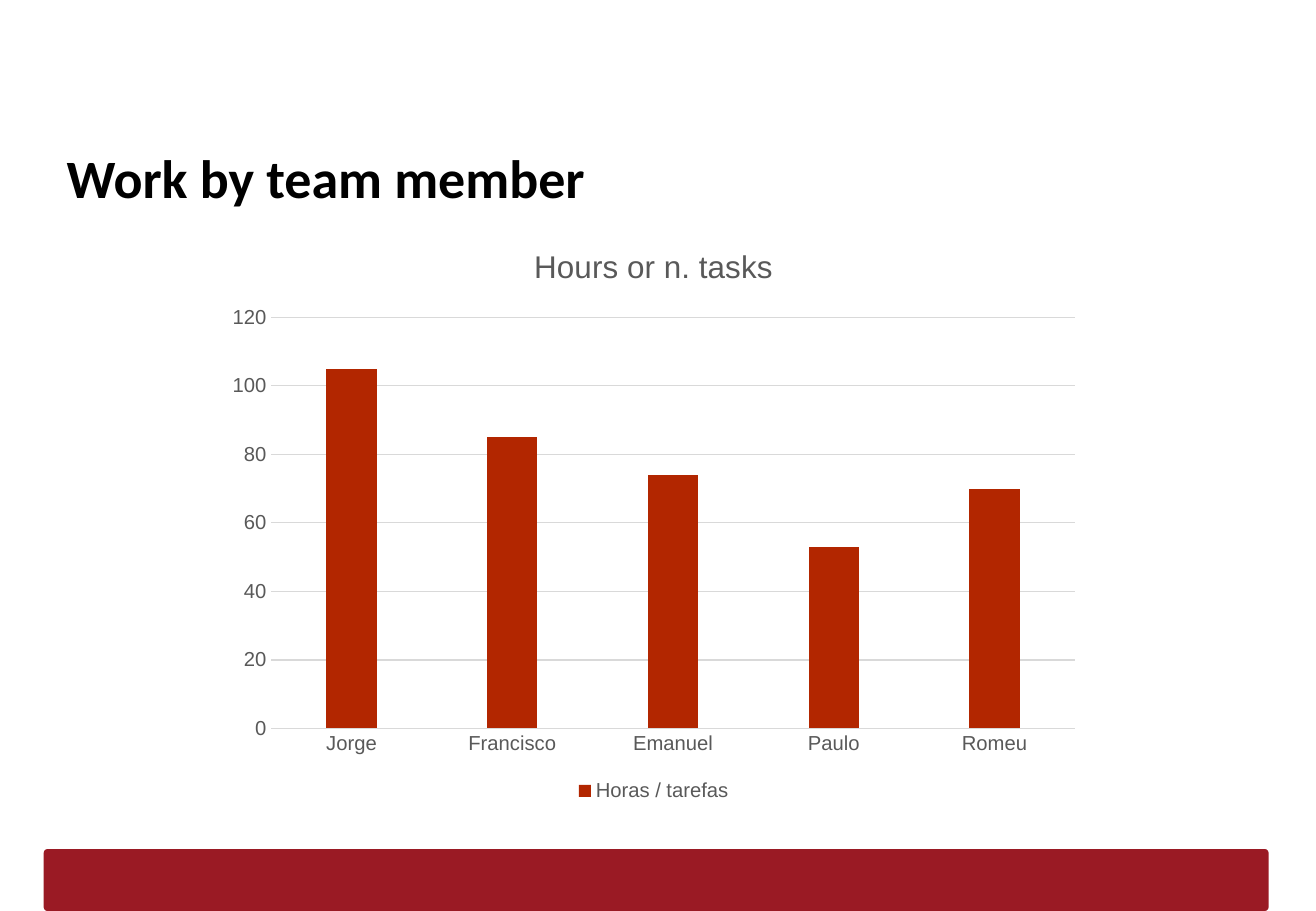
from dataclasses import dataclass

from pptx import Presentation
from pptx.chart.data import CategoryChartData
from pptx.dml.color import RGBColor
from pptx.enum.chart import XL_CHART_TYPE as ChartType, XL_LEGEND_POSITION as LegendPosition
from pptx.enum.chart import XL_TICK_MARK as TickMark
from pptx.enum.shapes import MSO_SHAPE as ShapeType
from pptx.enum.text import MSO_ANCHOR as Anchor
from pptx.util import Inches, Pt


@dataclass(frozen=True)
class Theme:
    """Colours, fonts and type sizes of the slide."""
    band: str = "9A1A24"
    title: str = "000000"
    column: str = "B22600"
    label: str = "595959"
    grid: str = "D9D9D9"
    title_font: str = "Calibri"
    chart_font: str = "Arial"
    title_size: float = 32
    chart_title_size: float = 18.6
    label_size: float = 12
    grid_width: float = 0.75


THEME = Theme()
HOURS = {"Jorge": 105, "Francisco": 85, "Emanuel": 74, "Paulo": 53, "Romeu": 70}


def style_font(font, name=THEME.chart_font, size=THEME.label_size, color=THEME.label, bold=False):
    """Apply a typeface, size, colour and weight to a font."""
    font.name = name
    font.size = Pt(size)
    font.bold = bold
    font.color.rgb = RGBColor.from_string(color)


def write_text(text_frame, text, **font_format):
    """Write one formatted run into a text frame."""
    run = text_frame.paragraphs[0].add_run()
    run.text = text
    style_font(run.font, **font_format)


def style_line(line):
    """Give a chart line the thin grid look."""
    line.color.rgb = RGBColor.from_string(THEME.grid)
    line.width = Pt(THEME.grid_width)


def add_footer_band(slide, left, top, width, height):
    """Draw the rounded band at the foot of the slide."""
    band = slide.shapes.add_shape(
        ShapeType.ROUNDED_RECTANGLE, Inches(left), Inches(top), Inches(width), Inches(height))
    band.adjustments[0] = 0.06
    band.shadow.inherit = False
    band.fill.solid()
    band.fill.fore_color.rgb = RGBColor.from_string(THEME.band)
    band.line.fill.background()


def add_title(slide, text, left, top, width, height):
    """Place the slide title in its box."""
    box = slide.shapes.add_textbox(Inches(left), Inches(top), Inches(width), Inches(height))
    frame = box.text_frame
    frame.word_wrap = True
    frame.vertical_anchor = Anchor.TOP
    frame.margin_left = frame.margin_right = Inches(0.1)
    frame.margin_top = frame.margin_bottom = Inches(0.1)
    write_text(frame, text, name=THEME.title_font, size=THEME.title_size,
               color=THEME.title, bold=True)


def add_hours_chart(slide, left, top, width, height):
    """Place the column chart of work by team member."""
    data = CategoryChartData()
    data.categories = list(HOURS)
    data.add_series("Horas / tarefas", list(HOURS.values()))
    chart = slide.shapes.add_chart(
        ChartType.COLUMN_CLUSTERED, Inches(left), Inches(top),
        Inches(width), Inches(height), data).chart
    style_font(chart.font)
    write_text(chart.chart_title.text_frame, "Hours or n. tasks", size=THEME.chart_title_size)
    chart.chart_title.include_in_layout = False

    chart.has_legend = True
    chart.legend.position = LegendPosition.BOTTOM
    chart.legend.include_in_layout = False
    style_font(chart.legend.font)

    for axis in (chart.category_axis, chart.value_axis):
        axis.major_tick_mark = axis.minor_tick_mark = TickMark.NONE
        style_font(axis.tick_labels.font)
    style_line(chart.category_axis.format.line)
    chart.value_axis.format.line.fill.background()
    chart.value_axis.minimum_scale = 0
    chart.value_axis.maximum_scale = 120
    chart.value_axis.major_unit = 20
    style_line(chart.value_axis.major_gridlines.format.line)

    plot = chart.plots[0]
    plot.gap_width = 219
    plot.overlap = -27
    plot.vary_by_categories = False
    fill = plot.series[0].format.fill
    fill.solid()
    fill.fore_color.rgb = RGBColor.from_string(THEME.column)


def main():
    """Build the slide and save it."""
    presentation = Presentation()
    presentation.slide_width = Inches(10.83)
    presentation.slide_height = Inches(7.5)
    slide = presentation.slides.add_slide(presentation.slide_layouts[6])
    add_footer_band(slide, 0.36, 6.99, 10.08, 0.51)
    add_title(slide, "Work by team member", 0.45, 1.09, 9.89, 0.63)
    add_hours_chart(slide, 1.77, 1.83, 7.22, 4.81)
    presentation.save("out.pptx")


if __name__ == "__main__":
    main()
